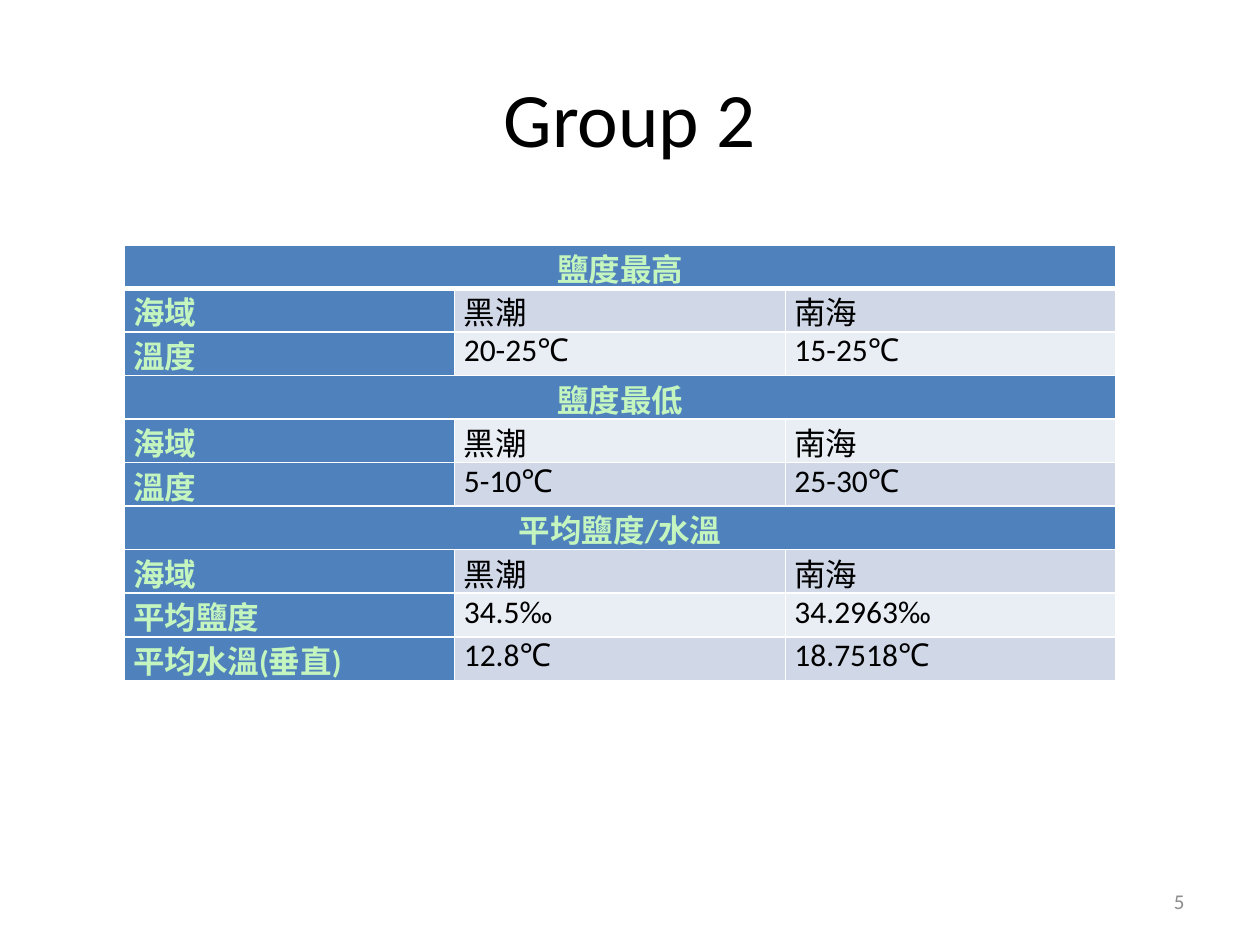
from lxml.etree import SubElement
from pptx import Presentation
from pptx.dml.color import RGBColor
from pptx.enum.text import MSO_ANCHOR, PP_ALIGN
from pptx.oxml.ns import qn
from pptx.util import Pt

HUES = {
    "back": "FFFFFF",
    "head": "4F81BD",
    "mint": "C4F5BE",
    "odd": "D0D8E8",
    "even": "E9EDF4",
    "ink": "000000",
    "gray": "8C8C8C",
}

ROWS = [
    ["鹽度最高"],
    ["海域", "黑潮", "南海"],
    ["溫度", "20-25℃", "15-25℃"],
    ["鹽度最低"],
    ["海域", "黑潮", "南海"],
    ["溫度", "5-10℃", "25-30℃"],
    ["平均鹽度/水溫"],
    ["海域", "黑潮", "南海"],
    ["平均鹽度", "34.5‰", "34.2963‰"],
    ["平均水溫(垂直)", "12.8℃", "18.7518℃"],
]


class Deck:
    font = "Calibri"

    def __init__(self, slide):
        self.slide = slide
        fill = slide.background.fill
        fill.solid()
        fill.fore_color.rgb = self.hue("back")

    def hue(self, name):
        return RGBColor.from_string(HUES[name])

    def style(self, frame, text, size, hue, align, bold=False):
        frame.text = text
        para = frame.paragraphs[0]
        para.alignment = align
        for run in para.runs:
            run.font.name = self.font
            run.font.size = Pt(size)
            run.font.bold = bold
            run.font.color.rgb = self.hue(hue)

    def label(self, text, box, size, hue, align):
        frame = self.slide.shapes.add_textbox(*map(Pt, box)).text_frame
        frame.word_wrap = True
        frame.vertical_anchor = MSO_ANCHOR.MIDDLE
        self.style(frame, text, size, hue, align)

    def edge(self, cell, side, width):
        props = cell._tc.get_or_add_tcPr()
        line = SubElement(props, qn(f"a:ln{side}"), w=str(Pt(width)))
        solid = SubElement(line, qn("a:solidFill"))
        SubElement(solid, qn("a:srgbClr"), val=HUES["back"])

    def cell(self, cell, text, row, head, align):
        cell.margin_left = cell.margin_right = Pt(5.2)
        cell.margin_top = cell.margin_bottom = 0
        for side in "LRTB":
            thick = (row, side) in ((0, "B"), (1, "T"))
            self.edge(cell, side, 3 if thick else 1)
        cell.fill.solid()
        band = "odd" if row % 2 else "even"
        cell.fill.fore_color.rgb = self.hue("head" if head else band)
        hue = "mint" if head else "ink"
        self.style(cell.text_frame, text, 18, hue, align, head)

    def table(self, rows, box):
        cols = max(map(len, rows))
        grid = self.slide.shapes.add_table(len(rows), cols, *map(Pt, box)).table
        for r, row in enumerate(rows):
            span = len(row) == 1
            if span:
                grid.cell(r, 0).merge(grid.cell(r, cols - 1))
            align = PP_ALIGN.CENTER if span else PP_ALIGN.LEFT
            for c in range(cols):
                text = row[c] if c < len(row) else ""
                self.cell(grid.cell(r, c), text, r, span or c == 0, align)


def main():
    show = Presentation()
    show.slide_width, show.slide_height = Pt(720), Pt(540)
    deck = Deck(show.slides.add_slide(show.slide_layouts[6]))
    deck.label("Group 2", (36, 21.6, 648, 90), 44, "ink", PP_ALIGN.CENTER)
    deck.table(ROWS, (70.9, 139.9, 566.9, 249))
    deck.label("5", (516, 500.5, 168, 28.8), 12, "gray", PP_ALIGN.RIGHT)
    show.save("out.pptx")


if __name__ == "__main__":
    main()
